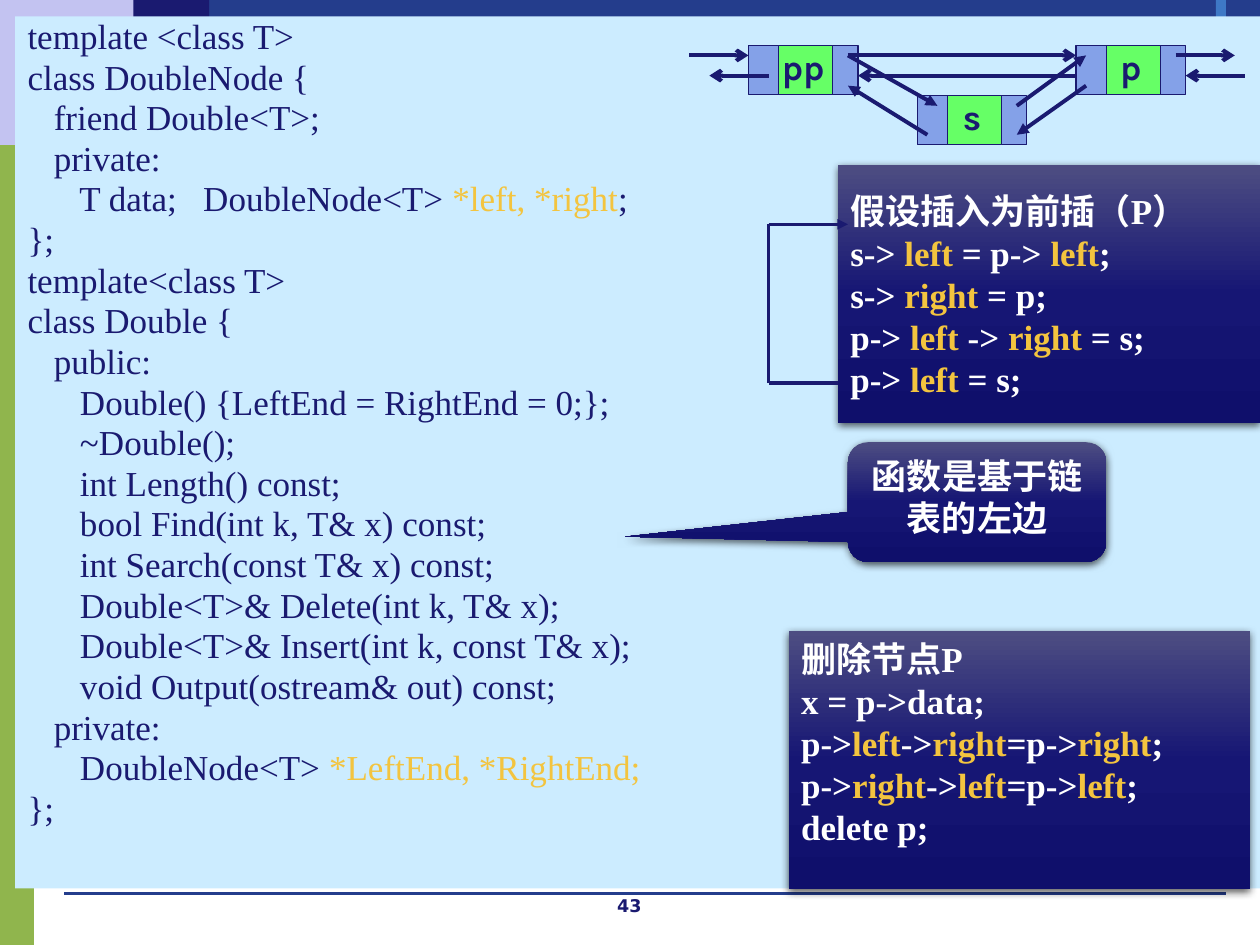
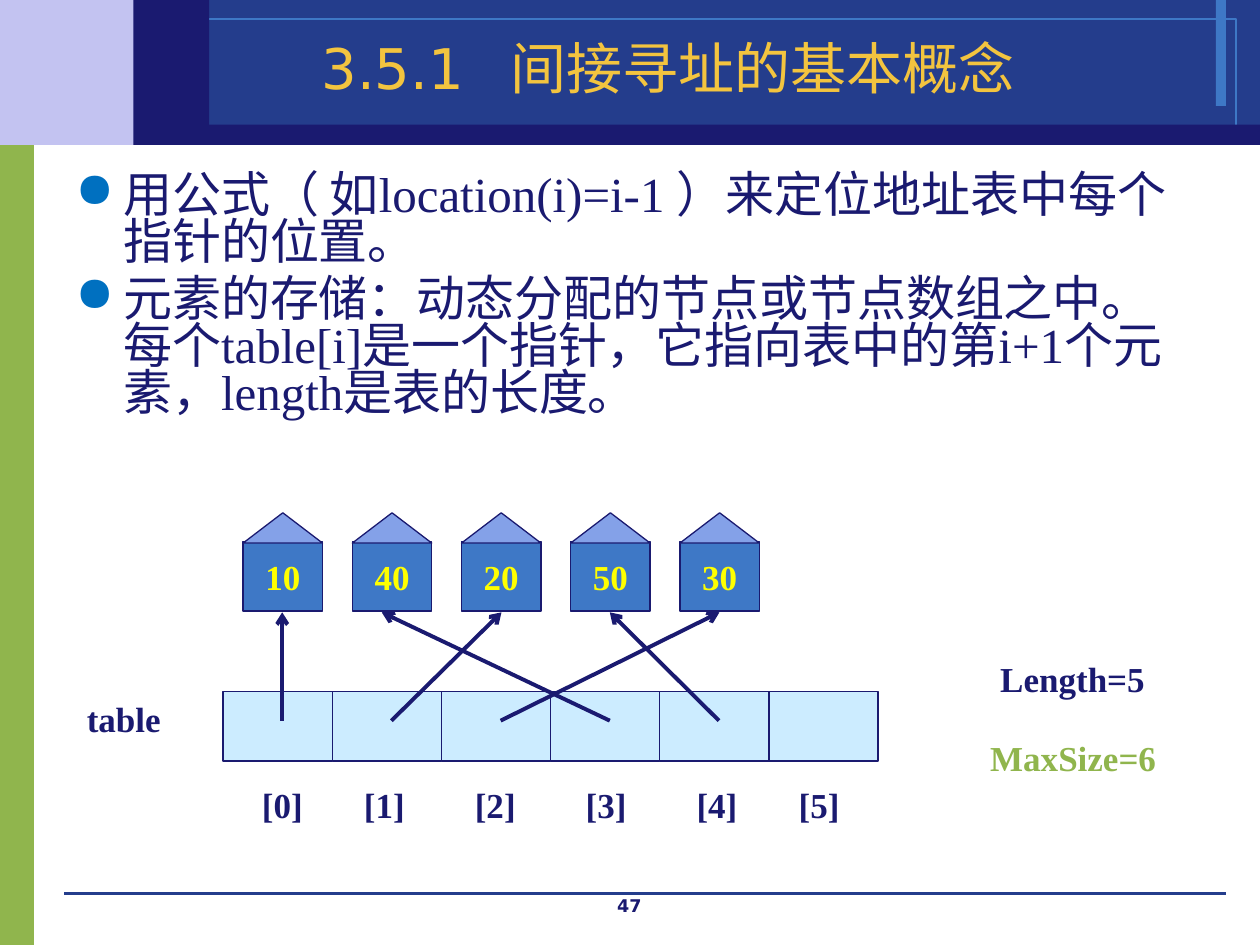
"""Build two slides on linked lists and indirect addressing."""
from lxml import etree
from pptx import Presentation
from pptx.dml.color import RGBColor
from pptx.enum.shapes import MSO_CONNECTOR, MSO_SHAPE
from pptx.enum.text import MSO_ANCHOR, PP_ALIGN
from pptx.oxml import parse_xml
from pptx.oxml.ns import qn
from pptx.util import Inches, Pt

RECT = MSO_SHAPE.RECTANGLE
ROOF = MSO_SHAPE.ISOSCELES_TRIANGLE
CALL = MSO_SHAPE.ROUNDED_RECTANGULAR_CALLOUT
LINE = "line"
STRAIGHT = MSO_CONNECTOR.STRAIGHT
TOP, MID = MSO_ANCHOR.TOP, MSO_ANCHOR.MIDDLE
LEFT, MIDST = PP_ALIGN.LEFT, PP_ALIGN.CENTER
NAVY, BLUE, SKY, PALE = "1A1A70", "243D8C", "3E78C6", "CCECFF"
SOFT, LILAC, GREEN, LIME = "84A1E8", "C3C3F1", "90B54D", "66FF66"
GOLD, WHITE, YELLOW, DOT = "F3C43F", "FFFFFF", "FFFF00", "0070C0"
SERIF, SANS, KARLA = "Times New Roman", "DejaVu Sans", "Karla"
NS = 'xmlns:a="http://schemas.openxmlformats.org/drawingml/2006/main"'
GRAD = f"""<a:gradFill {NS} rotWithShape="1"><a:gsLst>
<a:gs pos="0"><a:srgbClr val="4D4D82"/></a:gs>
<a:gs pos="50000"><a:srgbClr val="161674"/></a:gs>
<a:gs pos="100000"><a:srgbClr val="0F0F6B"/></a:gs>
</a:gsLst><a:lin ang="5400000" scaled="0"/></a:gradFill>"""
SHADE = f"""<a:outerShdw {NS} blurRad="57150" dist="19050" dir="5400000"
 algn="ctr" rotWithShape="0"><a:srgbClr val="000000"><a:alpha val="63000"/>
</a:srgbClr></a:outerShdw>"""
hue = RGBColor.from_string


def draw(kind, *place, fill=None, edge=None, width=0.75, tip=None):
    """Draw a shape, a text box (kind None) or a line between two points."""
    spot = [Inches(v) for v in place]
    if kind is None:
        return page.shapes.add_textbox(*spot)
    if kind == LINE:
        item = page.shapes.add_connector(STRAIGHT, *spot)
        etree.SubElement(item._element.spPr, qn("a:effectLst"))
    else:
        item = page.shapes.add_shape(kind, *spot)
        item.shadow.inherit = False
        item.fill.background()
        if fill == GRAD:
            props = item._element.spPr
            props.replace(props.find(qn("a:noFill")), parse_xml(GRAD))
            props.find(qn("a:effectLst")).append(parse_xml(SHADE))
        elif fill:
            item.fill.solid()
            item.fill.fore_color.rgb = hue(fill)
    if edge:
        item.line.color.rgb = hue(edge)
        item.line.width = Pt(width)
    else:
        item.line.fill.background()
    if tip:
        etree.SubElement(item.line._get_or_add_ln(), qn("a:tailEnd"), type=tip)
    return item


def write(item, text, size=20, font=SERIF, color=NAVY, bold=True, align=LEFT,
          anchor=TOP, wrap=True, lead=None, gap=0, dot=None, tabs=()):
    """Write lines of text, with the parts between bars in gold."""
    frame = item.text_frame
    frame.word_wrap = wrap
    frame.vertical_anchor = anchor
    for i, row in enumerate(text.split("\n")):
        para = frame.add_paragraph() if i else frame.paragraphs[0]
        para.alignment = align
        para.line_spacing = lead
        para.space_before = Pt(gap if i else 0)
        props = para._p.get_or_add_pPr()
        if dot:
            props.set("marL", str(Inches(0.38)))
            props.set("indent", str(-Inches(0.38)))
            tint = etree.SubElement(props, qn("a:buClr"))
            etree.SubElement(tint, qn("a:srgbClr"), val=DOT)
            etree.SubElement(props, qn("a:buChar"), char=dot)
        if tabs:
            stops = etree.SubElement(props, qn("a:tabLst"))
            for stop in tabs:
                etree.SubElement(stops, qn("a:tab"), pos=str(Inches(stop)), algn="l")
        for j, part in enumerate(row.split("|")):
            if part:
                run = para.add_run()
                run.text = part
                run.font.size = Pt(size)
                run.font.name = font
                run.font.bold = bold
                run.font.color.rgb = hue(GOLD if j % 2 else color)


deck = Presentation()
deck.slide_width, deck.slide_height = Inches(10), Inches(7.5)
for num in ("43", "47"):
    page = deck.slides.add_slide(deck.slide_layouts[6])
    for *place, fill in [(0, 1.07, 0.27, 6.43, GREEN), (0, 0, 1.53, 1.15, LILAC),
                         (1.53, 0, 8.47, 1.15, BLUE), (9.65, 0, 0.08, 0.84, SKY)]:
        draw(RECT, *place, fill=fill)
    if num == "47":
        draw(RECT, 1.19, 0.15, 8.62, 0.85, edge=SKY, width=0)
    draw(LINE, 0.51, 7.09, 9.73, 7.09, edge=BLUE, width=0)
    draw(RECT, 1.3, 0.99, 8.7, 0.16, fill=NAVY)
    draw(RECT, 1.06, 0, 0.6, 1.15, fill=NAVY)
    write(draw(None, 3.83, 7.05, 2.33, 0.25), num, size=10, font=SANS, align=MIDST)

page = deck.slides[0]
code = """template <class T>
class DoubleNode {
   friend Double<T>;
   private:
      T data;   DoubleNode<T> |*left, *right|;
};
template<class T>
class Double {
   public:
      Double() {LeftEnd = RightEnd = 0;};
      ~Double();
      int Length() const;
      bool Find(int k, T& x) const;
      int Search(const T& x) const;
      Double<T>& Delete(int k, T& x);
      Double<T>& Insert(int k, const T& x);
      void Output(ostream& out) const;
   private:
      DoubleNode<T> |*LeftEnd, *RightEnd;|
};"""
write(draw(RECT, 0.12, 0.13, 9.88, 6.92, fill=PALE), code, bold=False, lead=0.8, gap=4)

note = draw(CALL, 6.73, 3.51, 2.05, 0.95, fill=GRAD)
for i, bend in enumerate((-1.363, 0.289, 0.167)):
    note.adjustments[i] = bend
write(note, "函数是基于链表的左边", font=KARLA, color=WHITE, align=MIDST)

into = """假设插入为前插（P）
s-> |left| = p-> |left|;
s-> |right| = p;
p-> |left| -> |right| = s;
p-> |left| = s;"""
write(draw(RECT, 6.65, 1.31, 3.35, 2.05, fill=GRAD), into, color=WHITE, anchor=MID)

for name, x, y in [("pp", 5.94, 0.36), ("s", 7.28, 0.76), ("p", 8.54, 0.36)]:
    draw(RECT, x + 0.67, y, 0.2, 0.39, fill=SOFT, edge=NAVY)
    write(draw(RECT, x + 0.2, y, 0.47, 0.39, fill=LIME, edge=NAVY), name,
          font=KARLA, align=MIDST, anchor=MID, wrap=False, lead=0.8)
    draw(RECT, x, y, 0.24, 0.39, fill=SOFT, edge=NAVY)

for x, y, end in [(9.33, 0.44, 9.8), (9.88, 0.6, 9.41), (6.73, 0.44, 8.54),
                  (8.54, 0.6, 6.81), (5.47, 0.44, 5.94), (6.1, 0.6, 5.63)]:
    draw(LINE, x, y, end, y, edge=NAVY, width=2.25, tip="arrow")

drop = """删除节点P
x = p->data;
p->|left|->|right|=p->|right|;
p->|right|->|left|=p->|left|;
delete p;"""
write(draw(RECT, 6.26, 5.01, 3.66, 2.05, fill=GRAD), drop, color=WHITE)

for place in [(6.73, 0.44, 7.44, 0.84), (7.36, 1.07, 6.73, 0.68),
              (8.07, 0.84, 8.62, 0.44), (8.62, 0.68, 8.07, 1.07)]:
    draw(LINE, *place, edge=NAVY, width=2.25, tip="triangle")
draw(LINE, 6.65, 3.04, 6.1, 3.04, edge=NAVY, width=2)
draw(LINE, 6.1, 3.04, 6.1, 1.78, edge=NAVY, width=2)
draw(LINE, 6.1, 1.78, 6.73, 1.78, edge=NAVY, width=2, tip="triangle")

page = deck.slides[1]
write(draw(None, 1.19, 0.26, 8.23, 0.62), "3.5.1\t间接寻址的基本概念", size=32,
      font=SANS, color=GOLD, bold=False, align=MIDST, anchor=MID, lead=0.9)
facts = """用公式（ 如location(i)=i-1 ）来定位地址表中每个指针的位置。
元素的存储：动态分配的节点或节点数组之中。每个table[i]是一个指针，它指向表中的第i+1个元素，length是表的长度。"""
write(draw(None, 0.5, 1.34, 9, 5.74), facts, size=28, bold=False, lead=0.8,
      gap=5.6, dot="●")

step = 5.2 / 6
for i in range(6):
    draw(RECT, 1.77 + i * step, 5.49, step, 0.55, fill=PALE, edge=NAVY)
for i, value in enumerate((10, 40, 20, 50, 30)):
    x = 1.93 + i * step
    write(draw(RECT, x, 4.3, 0.63, 0.55, fill=SKY, edge=NAVY), str(value),
          color=YELLOW, align=MIDST, anchor=MID, wrap=False)
    draw(ROOF, x, 4.07, 0.63, 0.24, fill=SOFT, edge=NAVY)
for i, goal in enumerate((2.24, 3.98, 5.71, 3.03, 4.84)):
    draw(LINE, 2.24 + i * step, 5.72, goal, 4.86, edge=NAVY, width=2.25, tip="arrow")

marks = "".join(f"\t[{i}]" for i in range(6))
write(draw(None, 1.77, 6.17, 5.35, 0.44), marks, tabs=(0.21, 1.02, 1.9, 2.78, 3.66, 4.47))
for text, color, *place in [("table", NAVY, 0.59, 5.49, 1.18, 0.43),
                            ("Length=5", NAVY, 7.84, 5.17, 1.57, 0.43),
                            ("MaxSize=6", GREEN, 7.76, 5.8, 1.68, 0.43)]:
    write(draw(None, *place), text, color=color)

deck.save("out.pptx")
